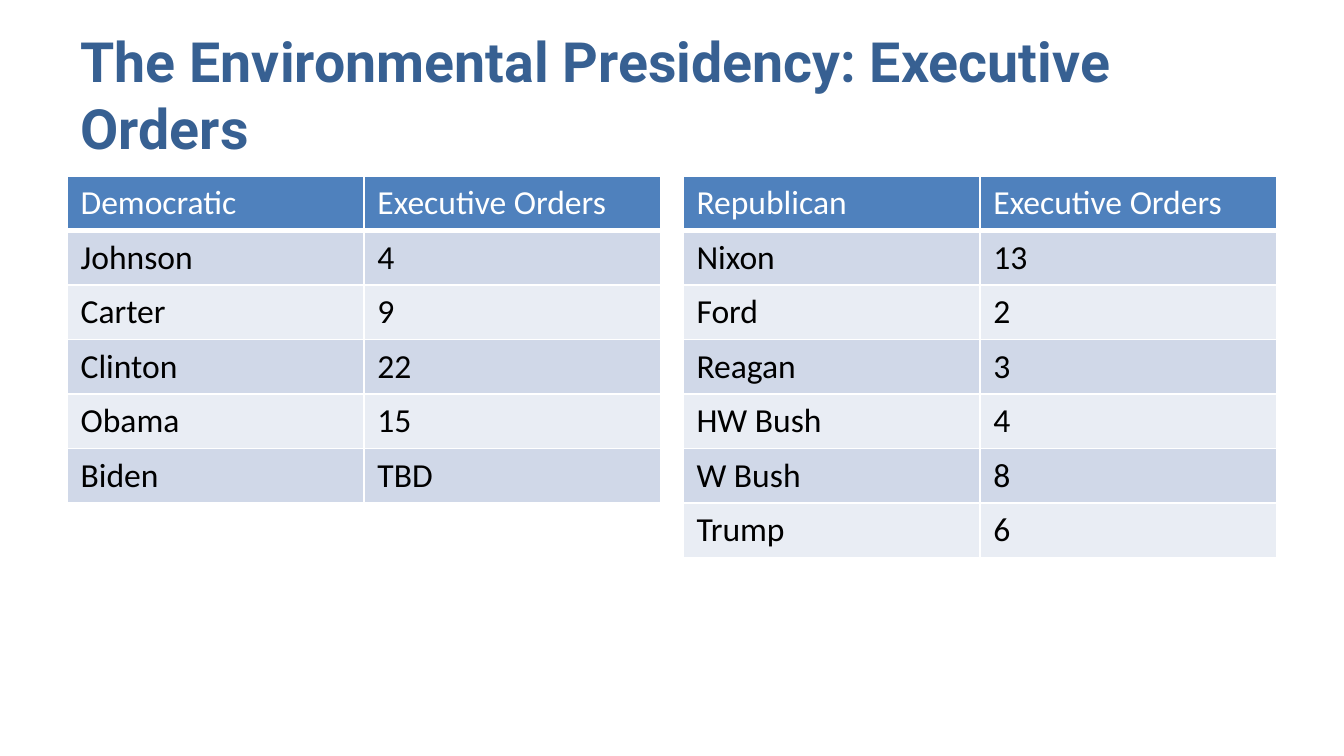
from dataclasses import dataclass

from lxml.etree import SubElement
from pptx import Presentation
from pptx.dml.color import RGBColor as RGB
from pptx.enum.text import MSO_ANCHOR as ANCHOR, MSO_AUTO_SIZE as AUTO, PP_ALIGN as ALIGN
from pptx.oxml.ns import qn
from pptx.util import Cm, Pt


@dataclass(frozen=True)
class Theme:
    title_font: str = "Roboto"
    body_font: str = "Calibri"
    title_size: float = 29.7
    body_size: float = 18
    title_color: str = "376092"
    header_fill: str = "4F81BD"
    header_text: str = "FFFFFF"
    body_text: str = "000000"
    bands: tuple = ("D0D8E8", "E9EDF4")
    border: str = "FFFFFF"
    border_width: float = 1
    header_rule: float = 3


class SlideBuilder:
    def __init__(self, prs, theme):
        self.theme = theme
        self.s = prs.slides.add_slide(prs.slide_layouts[5])

    def style(self, p, font, size, color, bold=False):
        for r in p.runs:
            r.font.name = font
            r.font.size = Pt(size)
            r.font.bold = bold
            r.font.color.rgb = RGB.from_string(color)

    def title(self, text, left, top, width, height):
        t = self.theme
        sp = self.s.shapes.title
        sp.left, sp.top, sp.width, sp.height = map(Cm, (left, top, width, height))
        tf = sp.text_frame
        tf.text = text
        tf.word_wrap = True
        tf.auto_size = AUTO.NONE
        tf.vertical_anchor = ANCHOR.MIDDLE
        p = tf.paragraphs[0]
        p.alignment = ALIGN.LEFT
        self.style(p, t.title_font, t.title_size, t.title_color, bold=True)

    def borders(self, cell, bottom):
        t = self.theme
        tc_pr = cell._tc.get_or_add_tcPr()
        for side in "LRTB":
            width = bottom if side == "B" else t.border_width
            ln = SubElement(tc_pr, qn(f"a:ln{side}"), w=str(Pt(width)))
            fill = SubElement(ln, qn("a:solidFill"))
            SubElement(fill, qn("a:srgbClr"), val=t.border)

    def cell(self, cell, text, row):
        t = self.theme
        header = row == 0
        self.borders(cell, t.header_rule if header else t.border_width)
        fill = t.header_fill if header else t.bands[(row - 1) % 2]
        cell.fill.solid()
        cell.fill.fore_color.rgb = RGB.from_string(fill)
        cell.text_frame.text = text
        color = t.header_text if header else t.body_text
        self.style(cell.text_frame.paragraphs[0], t.body_font, t.body_size, color)

    def table(self, rows, left, top, width, row_height):
        frame = self.s.shapes.add_table(
            len(rows), len(rows[0]), Cm(left), Cm(top), Cm(width), Cm(row_height * len(rows))
        )
        for i, row in enumerate(rows):
            for j, text in enumerate(row):
                self.cell(frame.table.cell(i, j), text, i)


DEMOCRATIC = [
    ("Democratic", "Executive Orders"),
    ("Johnson", "4"),
    ("Carter", "9"),
    ("Clinton", "22"),
    ("Obama", "15"),
    ("Biden", "TBD"),
]
REPUBLICAN = [
    ("Republican", "Executive Orders"),
    ("Nixon", "13"),
    ("Ford", "2"),
    ("Reagan", "3"),
    ("HW Bush", "4"),
    ("W Bush", "8"),
    ("Trump", "6"),
]


def main():
    prs = Presentation()
    prs.slide_width, prs.slide_height = Cm(25.4), Cm(14.29)
    margin, table_width, gap = 1.27, 11.22, 0.42
    builder = SlideBuilder(prs, Theme())
    builder.title(
        "The Environmental Presidency: Executive Orders", margin, 0.58, 25.4 - 2 * margin, 2.39
    )
    for i, rows in enumerate((DEMOCRATIC, REPUBLICAN)):
        builder.table(rows, margin + i * (table_width + gap), 3.33, table_width, 1.03)
    prs.save("out.pptx")


if __name__ == "__main__":
    main()
